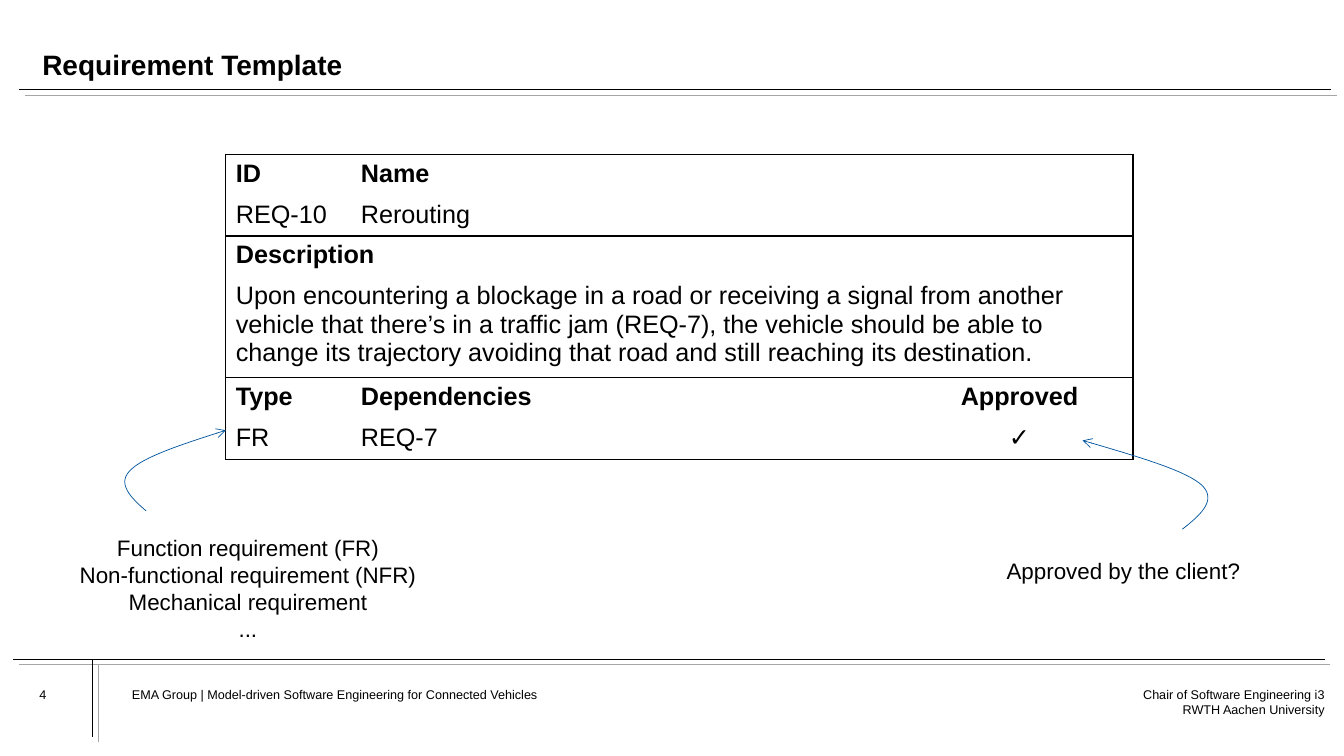
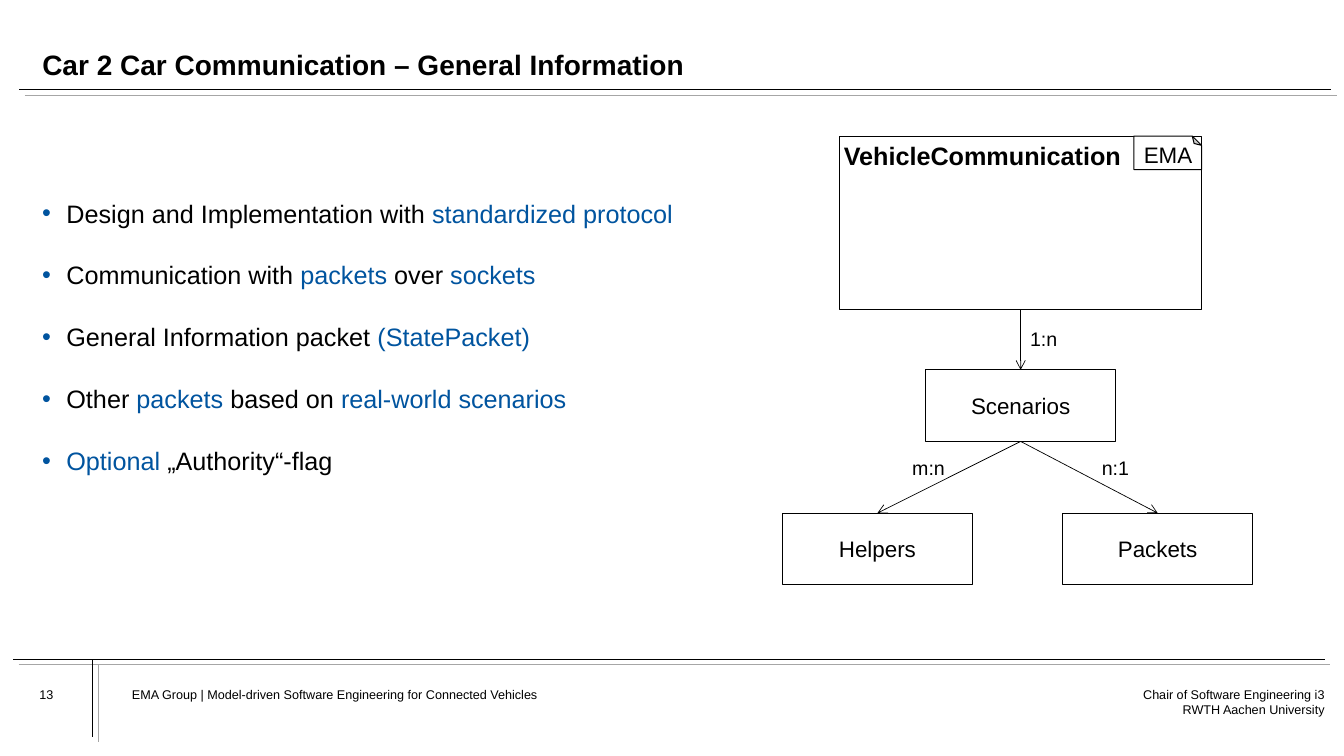
"""Build two slides on requirements and car communication."""
from dataclasses import dataclass

from lxml.etree import SubElement
from pptx import Presentation
from pptx.dml.color import RGBColor
from pptx.enum.shapes import MSO_CONNECTOR, MSO_SHAPE
from pptx.enum.text import MSO_ANCHOR, PP_ALIGN
from pptx.oxml.ns import qn
from pptx.shapes.autoshape import Shape
from pptx.shapes.connector import Connector
from pptx.slide import Slide
from pptx.text.text import Font, TextFrame
from pptx.util import Pt

INK = {"black": "000000", "gray": "A6A6A6", "blue": "00549F", "white": "FFFFFF"}
FACE = "Arial"
LEFT, MID, RIGHT = PP_ALIGN.LEFT, PP_ALIGN.CENTER, PP_ALIGN.RIGHT
Point = tuple[float, float]


@dataclass(frozen=True)
class Box:
    """Place and size in points."""
    x: float
    y: float
    w: float
    h: float

    def area(self) -> tuple[Pt, Pt, Pt, Pt]:
        """Give the box as lengths."""
        return Pt(self.x), Pt(self.y), Pt(self.w), Pt(self.h)


@dataclass(frozen=True)
class Note:
    """Free text in a box."""
    box: Box
    text: str
    size: float
    align: PP_ALIGN = LEFT


@dataclass(frozen=True)
class Rule:
    """Black line with a gray echo."""
    start: Point
    end: Point


@dataclass(frozen=True)
class Cell:
    """Table entry with its place."""
    row: int
    col: int
    text: str
    span: int = 1
    align: PP_ALIGN = LEFT


RULES = (
    Rule((13.7, 64.2), (951, 64.2)),
    Rule((9.4, 470.9), (946.1, 470.9)),
    Rule((66.2, 470.9), (66.2, 526.3)),
)
ECHO = 4
FOOT = (
    Note(Box(94.3, 490.3, 551.5, 30), "EMA Group | Model-driven Software Engineering for Connected Vehicles", 9),
    Note(Box(791.3, 490.3, 154.8, 30), "Chair of Software Engineering i3\nRWTH Aachen University", 9, RIGHT),
)
CELLS = (
    Cell(0, 0, "ID"),
    Cell(0, 1, "Name", 2),
    Cell(1, 0, "REQ-10"),
    Cell(1, 1, "Rerouting", 2),
    Cell(2, 0, "Description", 3),
    Cell(3, 0, "Upon encountering a blockage in a road or receiving a signal from another "
         "vehicle that there’s in a traffic jam (REQ-7), the vehicle should be able to "
         "change its trajectory avoiding that road and still reaching its destination.", 3),
    Cell(4, 0, "Type"),
    Cell(4, 1, "Dependencies"),
    Cell(4, 2, "Approved", align=MID),
    Cell(5, 0, "FR"),
    Cell(5, 1, "REQ-7"),
    Cell(5, 2, "✓", align=MID),
)
COLS = (89.3, 396.7, 162)
ROWS = (29.2, 29.2, 29.2, 67.2, 29.2, 29.2)
HINTS = (
    Note(Box(48.2, 381.6, 257.8, 78), "Function requirement (FR)\nNon-functional requirement (NFR)\n"
         "Mechanical requirement\n...", 16, MID),
    Note(Box(710.6, 398.2, 183.6, 20), "Approved by the client?", 16, MID),
)
CURVES = (
    ((104.4, 365), (93.6, 355.7), (83.5, 345.6), (92.9, 336.2),
     (102.2, 326.2), (131.8, 316.8), (161.3, 307.4)),
    ((844.6, 378), (857.5, 367.9), (869.8, 357.1), (858.2, 346.3),
     (846, 335.5), (810, 325.4), (773.3, 314.6)),
)
POINTS = (
    "Design and Implementation with |standardized protocol",
    "Communication with |packets |over |sockets",
    "General Information packet |(StatePacket)",
    "Other |packets |based on |real-world scenarios",
    "|Optional| „Authority“-flag",
)
NODES = (
    ("Scenarios", 661, 264.2),
    ("Helpers", 558.7, 366.5),
    ("Packets", 758.9, 366.5),
)
TAGS = (
    Note(Box(735.8, 233.3, 36, 17), "1:n", 14),
    Note(Box(787, 325.4, 36, 17), "n:1", 14),
    Note(Box(651.6, 325.4, 36, 17), "m:n", 14),
)


def shade(name: str) -> RGBColor:
    """Look up a colour."""
    return RGBColor.from_string(INK[name])


def dress(font: Font, size: float, bold: bool = False, ink: str = "black") -> None:
    """Format a font."""
    font.name, font.size, font.bold = FACE, Pt(size), bold
    font.color.rgb = shade(ink)


def fill_in(frame: TextFrame, text: str, size: float, align: PP_ALIGN = LEFT,
            bold: bool = False) -> None:
    """Set the text of a frame and format it."""
    frame.text = text
    for para in frame.paragraphs:
        para.alignment = align
        for run in para.runs:
            dress(run.font, size, bold)


def pad(frame: TextFrame, gap: float) -> None:
    """Wrap the text and set equal margins."""
    frame.word_wrap = True
    frame.margin_left = frame.margin_right = Pt(gap)
    frame.margin_top = frame.margin_bottom = Pt(gap)


def add_note(slide: Slide, note: Note) -> None:
    """Draw free text."""
    frame = slide.shapes.add_textbox(*note.box.area()).text_frame
    pad(frame, 0)
    fill_in(frame, note.text, note.size, note.align)


def stroke(shape: Shape | Connector, ink: str, width: float, arrow: bool = False) -> None:
    """Set a line and its arrowhead."""
    shape.line.color.rgb = shade(ink)
    shape.line.width = Pt(width)
    if arrow:
        SubElement(shape.line._get_or_add_ln(), qn("a:tailEnd"), type="arrow")


def add_line(slide: Slide, start: Point, end: Point, ink: str, arrow: bool = False) -> Connector:
    """Draw a straight thin line."""
    line = slide.shapes.add_connector(MSO_CONNECTOR.STRAIGHT, *map(Pt, start + end))
    stroke(line, ink, 0.5, arrow)
    SubElement(line._element.spPr, qn("a:effectLst"))
    return line


def add_shape(slide: Slide, kind: MSO_SHAPE, box: Box) -> Shape:
    """Draw a white shape with a black line."""
    shape = slide.shapes.add_shape(kind, *box.area())
    shape.shadow.inherit = False
    shape.fill.solid()
    shape.fill.fore_color.rgb = shade("white")
    stroke(shape, "black", 0.75)
    return shape


def add_slide(deck: Presentation, title: str, page: int) -> Slide:
    """Add a slide with title, rules and footer."""
    slide = deck.slides.add_slide(deck.slide_layouts[5])
    head = slide.shapes.title
    head.left, head.top, head.width, head.height = Box(30.2, 15.8, 904.3, 42.5).area()
    pad(head.text_frame, 0)
    head.text_frame.vertical_anchor = MSO_ANCHOR.BOTTOM
    fill_in(head.text_frame, title, 20, bold=True)
    head.text_frame.paragraphs[0].line_spacing = 0.9
    for rule in RULES:
        for ink, step in (("black", 0), ("gray", ECHO)):
            start, end = ((x + step, y + step) for x, y in (rule.start, rule.end))
            add_line(slide, start, end, ink)
    for note in (*FOOT, Note(Box(28.1, 490.3, 36, 30), str(page), 9)):
        add_note(slide, note)
    return slide


def add_grid(slide: Slide) -> None:
    """Draw the requirement table, framed in pairs of rows."""
    box = Box(161.3, 110.2, sum(COLS), sum(ROWS))
    grid = slide.shapes.add_table(len(ROWS), len(COLS), *box.area()).table
    grid.first_row = grid.horz_banding = False
    for col, width in zip(grid.columns, COLS):
        col.width = Pt(width)
    for row, high in zip(grid.rows, ROWS):
        row.height = Pt(high)
    for item in CELLS:
        cell = grid.cell(item.row, item.col)
        last = item.col + item.span - 1
        if item.span > 1:
            cell.merge(grid.cell(item.row, last))
        top = item.row % 2 == 0
        fill_in(cell.text_frame, item.text, 18, item.align, top or item.text == "✓")
        for col in range(item.col, last + 1):
            part = grid.cell(item.row, col)
            edges = {"L": col == 0, "R": last == len(COLS) - 1 and col in (item.col, last),
                     "T": top, "B": not top}
            props = part._tc.get_or_add_tcPr()
            for side, shown in edges.items():
                edge = SubElement(props, qn(f"a:ln{side}"), w=str(Pt(1)))
                if shown:
                    ink = SubElement(edge, qn("a:solidFill"))
                    SubElement(ink, qn("a:srgbClr"), val=INK["black"])
                else:
                    SubElement(edge, qn("a:noFill"))
            part.fill.background()


def bend(knots: tuple[Point, ...], steps: int = 20) -> list[Point]:
    """Sample a chain of cubic curves."""
    spots = [knots[0]]
    for first in range(0, len(knots) - 1, 3):
        a, b, c, d = knots[first:first + 4]
        for step in range(1, steps + 1):
            t = step / steps
            u = 1 - t
            spots.append(tuple(
                u ** 3 * a[i] + 3 * u * u * t * b[i] + 3 * u * t * t * c[i] + t ** 3 * d[i]
                for i in (0, 1)))
    return spots


def add_curve(slide: Slide, knots: tuple[Point, ...]) -> None:
    """Draw a curved blue arrow."""
    start, *rest = [(Pt(x), Pt(y)) for x, y in bend(knots)]
    pen = slide.shapes.build_freeform(*start)
    pen.add_line_segments(rest, close=False)
    curve = pen.convert_to_shape()
    curve.shadow.inherit = False
    curve.fill.background()
    stroke(curve, "blue", 0.5, True)


def add_list(slide: Slide) -> None:
    """Draw the bullets, with every second part in blue."""
    frame = slide.shapes.add_textbox(*Box(30.2, 141.4, 501, 196).area()).text_frame
    pad(frame, 0)
    for rank, text in enumerate(POINTS):
        para = frame.add_paragraph() if rank else frame.paragraphs[0]
        if rank:
            para.space_before = Pt(22.6)
        props = para._p.get_or_add_pPr()
        props.set("marL", str(Pt(17.3)))
        props.set("indent", str(-Pt(17.3)))
        ink = SubElement(props, qn("a:buClr"))
        SubElement(ink, qn("a:srgbClr"), val=INK["blue"])
        SubElement(props, qn("a:buFont"), typeface=FACE)
        SubElement(props, qn("a:buChar"), char="•")
        for part, words in enumerate(text.split("|")):
            if words:
                run = para.add_run()
                run.text = words
                dress(run.font, 18, ink="blue" if part % 2 else "black")


def add_model(slide: Slide) -> None:
    """Draw the class diagram."""
    root = add_shape(slide, MSO_SHAPE.RECTANGLE, Box(599.8, 97.2, 258.5, 124))
    pad(root.text_frame, 2.9)
    root.text_frame.vertical_anchor = MSO_ANCHOR.TOP
    fill_in(root.text_frame, "VehicleCommunication", 18, bold=True)
    flag = add_shape(slide, MSO_SHAPE.FOLDED_CORNER, Box(810, 97.2, 48.3, 24))
    props = flag._element.spPr
    fold = next(props.iter(qn("a:avLst")))
    SubElement(fold, qn("a:gd"), name="adj", fmla="val 27600")
    props.xfrm.set("flipV", "1")
    flag.text_frame._txBody.bodyPr.set("rot", "10800000")
    flag.text_frame.word_wrap = False
    fill_in(flag.text_frame, "EMA", 16)
    flag.text_frame.paragraphs[0].line_spacing = 0.7
    nodes = []
    for name, x, y in NODES:
        node = add_shape(slide, MSO_SHAPE.RECTANGLE, Box(x, y, 136.1, 51.1))
        fill_in(node.text_frame, name, 16, MID)
        nodes.append(node)
    hub, *leaves = nodes
    for upper, lower in ((root, hub), *((hub, leaf) for leaf in leaves)):
        line = add_line(slide, (0, 0), (0, 0), "black", True)
        line.begin_connect(upper, 2)
        line.end_connect(lower, 0)
    for tag in TAGS:
        add_note(slide, tag)


def main() -> None:
    """Build and save the deck."""
    deck = Presentation()
    deck.slide_width, deck.slide_height = Pt(960), Pt(540)
    slide = add_slide(deck, "Requirement Template", 4)
    add_grid(slide)
    for knots in CURVES:
        add_curve(slide, knots)
    for hint in HINTS:
        add_note(slide, hint)
    slide = add_slide(deck, "Car 2 Car Communication – General Information", 13)
    add_list(slide)
    add_model(slide)
    deck.save("out.pptx")


if __name__ == "__main__":
    main()
